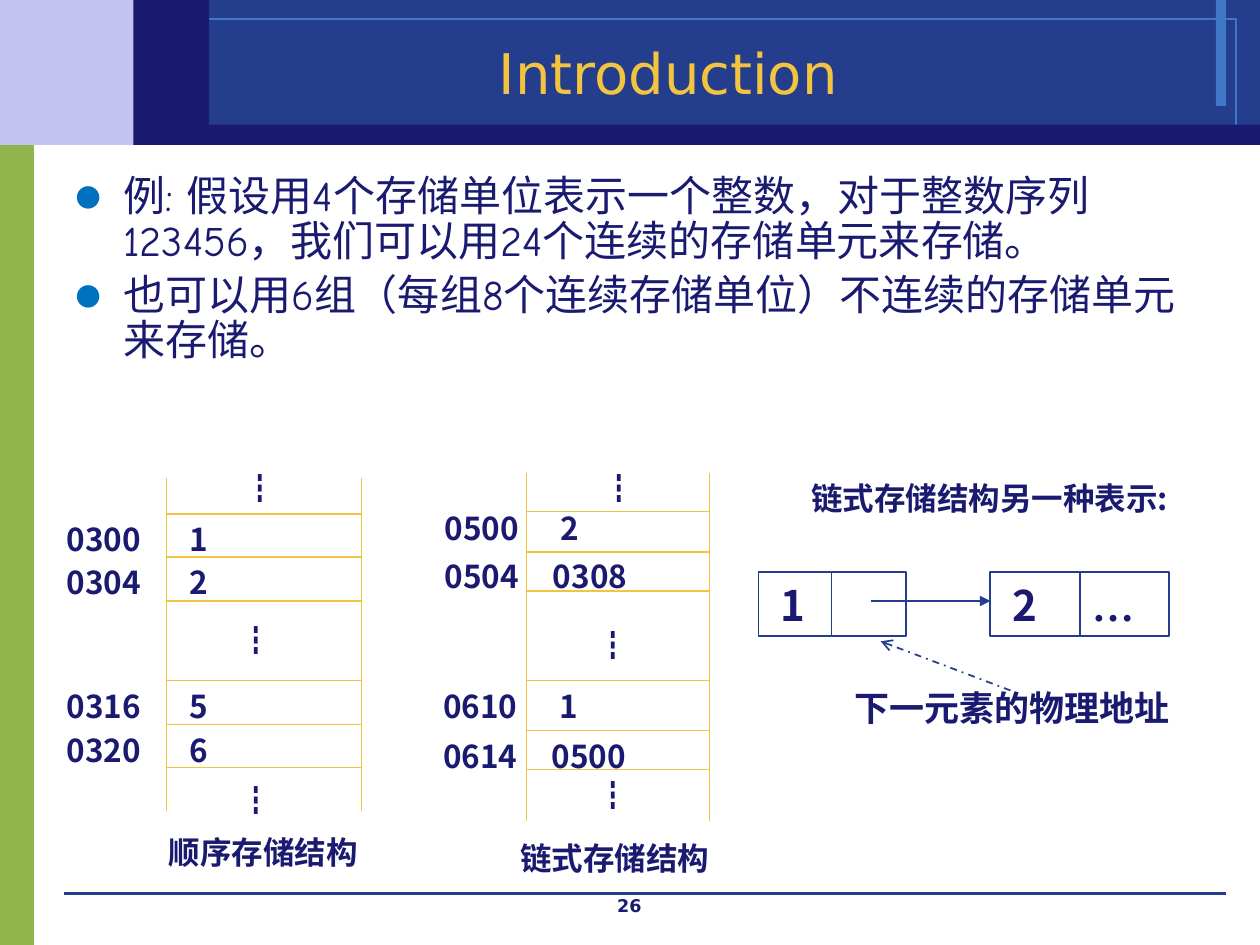
from dataclasses import dataclass

from lxml.etree import SubElement
from pptx import Presentation
from pptx.dml.color import RGBColor as RGB
from pptx.enum.dml import MSO_LINE as Dash
from pptx.enum.shapes import MSO_CONNECTOR as Link, MSO_SHAPE as Shape
from pptx.enum.text import MSO_ANCHOR as Anchor, PP_ALIGN as Align
from pptx.oxml.ns import qn
from pptx.util import Inches, Pt


@dataclass(frozen=True)
class Theme:
    navy: str = "1A1A70"
    blue: str = "243D8C"
    sky: str = "3E78C6"
    lilac: str = "C3C3F1"
    green: str = "90B54D"
    gold: str = "F3C43F"
    bullet: str = "0070C0"
    sans: str = "DejaVu Sans"
    cjk: str = "Noto Sans CJK SC"
    hand: str = "Comic Neue"
    serif: str = "Times New Roman"
    title: int = 32
    body: int = 24
    note: int = 20
    label: int = 18
    page: int = 10


t = Theme()
prs = Presentation()
prs.slide_width, prs.slide_height = Inches(10), Inches(7.5)
s = prs.slides.add_slide(prs.slide_layouts[6])
u = prs.slide_width // 100  # square grid: 100 columns by 75 rows


def write(sp, content, size=t.label, font=t.cjk, color=t.navy, bold=True,
          align=Align.JUSTIFY, anchor=Anchor.TOP):
    """Fill a shape with formatted paragraphs, one for each line."""
    tf = sp.text_frame
    tf.word_wrap, tf.vertical_anchor = True, anchor
    tf.text = content
    for p in tf.paragraphs:
        p.alignment = align
        for r in p.runs:
            r.font.size, r.font.bold, r.font.name = Pt(size), bold, font
            r.font.color.rgb = RGB.from_string(color)
            SubElement(r.font._element, qn("a:ea"), typeface=t.cjk)
    return tf


def line(x1, y1, x2, y2, color, width, head=None):
    """Draw a straight line between two grid points."""
    ends = [round(n * u) for n in (x1, y1, x2, y2)]
    ln = s.shapes.add_connector(Link.STRAIGHT, *ends)
    ln.line.color.rgb, ln.line.width = RGB.from_string(color), Pt(width)
    SubElement(ln._element.spPr, qn("a:effectLst"))
    if head:
        SubElement(ln.line._get_or_add_ln(), qn("a:tailEnd"), type=head)
    return ln


# Frame and list nodes: box, fill, outline, outline width, text, text font
rects = [
    ((0, 10.7, 2.7, 64.3), t.green, None, 0, "", None),
    ((0, 0, 15.3, 11.5), t.lilac, None, 0, "", None),
    ((15.3, 0, 84.7, 11.5), t.blue, None, 0, "", None),
    ((96.5, 0, 0.8, 8.4), t.sky, None, 0, "", None),
    ((11.9, 1.5, 86.2, 8.5), None, t.sky, 0, "", None),
    ((13, 9.9, 87, 1.6), t.navy, None, 0, "", None),
    ((10.6, 0, 6, 11.5), t.navy, None, 0, "", None),
    ((60.2, 45.4, 5.8, 5.1), None, t.blue, 1, " 1", t.cjk),
    ((66, 45.4, 5.9, 5.1), None, t.blue, 1, "", None),
    ((78.6, 45.4, 7.1, 5.1), None, t.blue, 1, " 2", t.cjk),
    ((85.7, 45.4, 7.1, 5.1), None, t.blue, 1, "…", t.serif),
]
for box, fill, outline, width, content, font in rects:
    sp = s.shapes.add_shape(Shape.RECTANGLE, *[round(n * u) for n in box])
    sp.shadow.inherit = False
    if fill:
        sp.fill.solid()
        sp.fill.fore_color.rgb = RGB.from_string(fill)
    else:
        sp.fill.background()
    if outline:
        sp.line.color.rgb, sp.line.width = RGB.from_string(outline), Pt(width)
    else:
        sp.line.fill.background()
    if content:
        write(sp, content, t.body, font, anchor=Anchor.MIDDLE)
line(5.1, 70.9, 97.3, 70.9, t.blue, 0)

# Title, page number and body
headings = [
    ((11.9, 2.6, 82.3, 6.2), "Introduction", t.title, t.gold, False, Anchor.MIDDLE),
    ((38.3, 70.5, 23.3, 2.5), "26", t.page, t.navy, True, Anchor.TOP),
]
for box, content, size, color, bold, anchor in headings:
    sp = s.shapes.add_textbox(*[round(n * u) for n in box])
    write(sp, content, size, t.sans, color, bold, Align.CENTER, anchor)

sp = s.shapes.add_textbox(*[round(n * u) for n in (5, 13.4, 90, 57.4)])
tf = write(sp, "例: 假设用4个存储单位表示一个整数，对于整数序列123456，我们可以用24个连续的存储单元来存储。\n"
               "也可以用6组（每组8个连续存储单位）不连续的存储单元来存储。",
           t.body, t.hand, bold=False, align=Align.LEFT)
for p in tf.paragraphs:
    p.line_spacing, p.space_before = 0.9, Pt(0.2 * t.body)
    pPr = p._p.get_or_add_pPr()
    pPr.set("marL", str(round(3.8 * u)))
    pPr.set("indent", str(round(-3.8 * u)))
    SubElement(SubElement(pPr, qn("a:buClr")), qn("a:srgbClr"), val=t.bullet)
    SubElement(pPr, qn("a:buSzPct"), val="70000")
    SubElement(pPr, qn("a:buFont"), typeface=t.sans)
    SubElement(pPr, qn("a:buChar"), char="●")

# Memory columns: left, right, top, bottom, row lines
memories = [
    (13.2, 28.7, 37.9, 64.4, (40.8, 44.2, 47.7, 54, 57.5, 60.9)),
    (41.8, 56.3, 37.5, 65.2, (40.6, 43.8, 46.9, 54, 58, 61.1)),
]
for left, right, top, bottom, rows in memories:
    for x in (left, right):
        line(x, top, x, bottom, t.gold, 0.75)
    for y in rows:
        line(left, y, right, y, t.gold, 0.75)

# Address and value of each cell: left, top, address, value, tab stop
cells = [
    (4.3, 40.8, "0300", "1", 9.8),
    (4.3, 44.2, "0304", "2", 9.8),
    (4.3, 54, "0316", "5", 9.8),
    (4.3, 57.5, "0320", "6", 9.8),
    (34.3, 39.9, "0500", "2", 9.2),
    (34.3, 43.7, "0504", "0308", 8.6),
    (34.2, 54, "0610", "1", 9.2),
    (34.2, 58, "0614", "0500", 8.6),
]
for x, y, address, value, stop in cells:
    sp = s.shapes.add_textbox(*[round(n * u) for n in (x, y, 22, 4)])
    p = write(sp, f"{address}\t{value}", align=Align.LEFT).paragraphs[0]
    tabs = SubElement(p._p.get_or_add_pPr(), qn("a:tabLst"))
    SubElement(tabs, qn("a:tab"), pos=str(round(stop * u)), algn="l")

# Ellipses, captions and notes: left, top, width, text, size
labels = [(x, y, 4.9, "┇", t.label) for x, y in (
    (18.4, 36.7), (18.1, 48.8), (18.1, 61.5), (46.9, 36.7), (46.4, 49.2), (46.4, 61.1))]
labels += [
    (12.4, 65.6, 18.7, "顺序存储结构", t.label),
    (40.3, 66.1, 17.6, "链式存储结构", t.label),
    (63.4, 37.5, 32.6, "链式存储结构另一种表示:", t.label),
    (66.8, 54, 28.4, "下一元素的物理地址", t.note),
]
for x, y, w, content, size in labels:
    sp = s.shapes.add_textbox(*[round(n * u) for n in (x, y, w, 4)])
    write(sp, content, size)

# Pointer to the next node, and the dashed arrow from its note
line(69.1, 47.7, 78.6, 47.7, t.blue, 1, "triangle")
ln = line(80.2, 54.8, 69.9, 50.9, t.blue, 1, "arrow")
ln.line.dash_style = Dash.DASH_DOT

prs.save("out.pptx")
